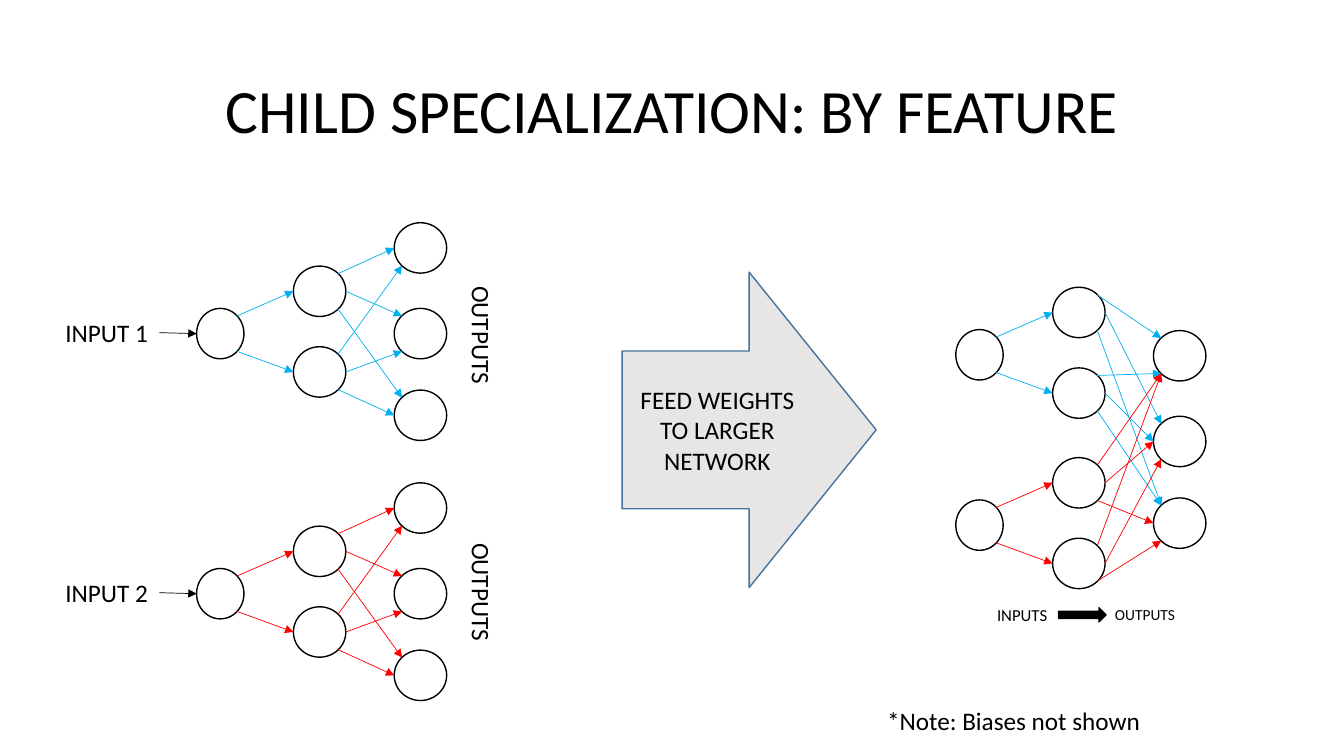
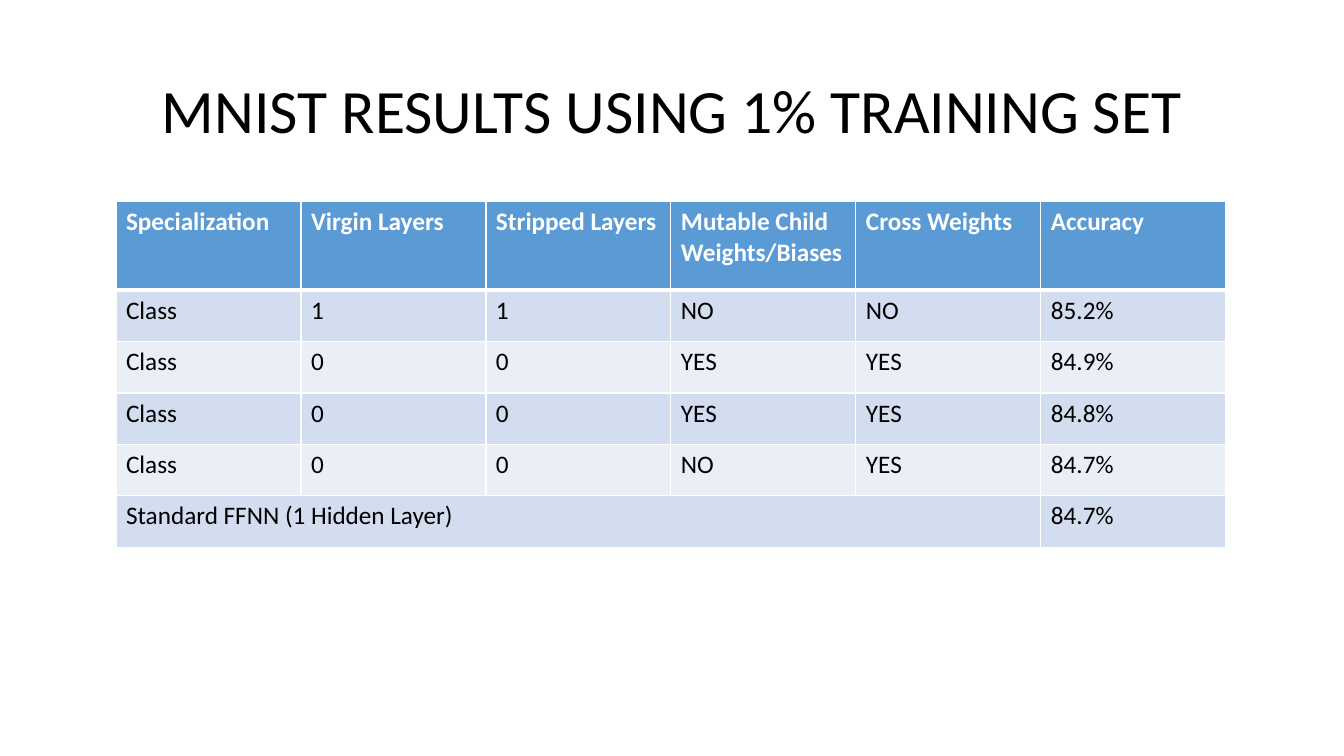
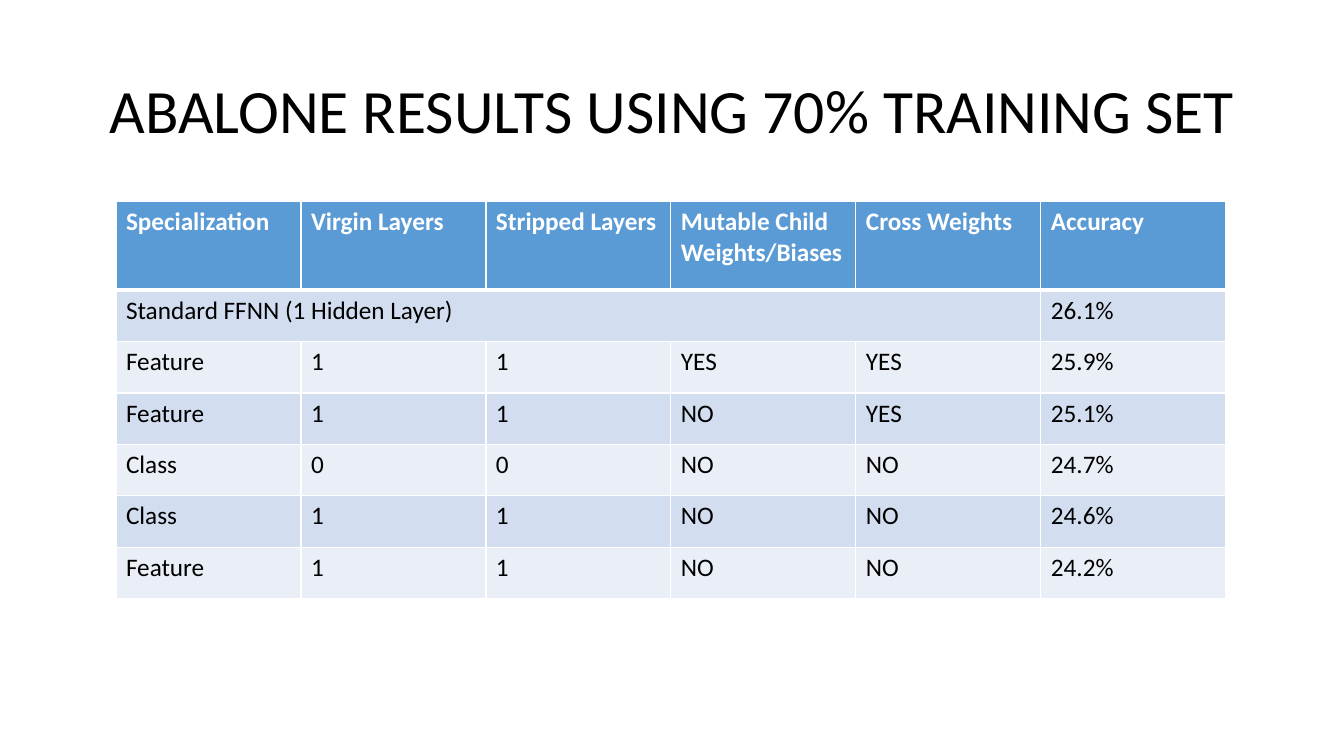
from pptx import Presentation
from pptx.dml.color import RGBColor
from pptx.enum.shapes import MSO_CONNECTOR, MSO_SHAPE
from pptx.enum.text import MSO_ANCHOR, PP_ALIGN
from pptx.oxml.ns import qn
from pptx.util import Inches, Pt
from lxml import etree

STRAIGHT = MSO_CONNECTOR.STRAIGHT
NODE = MSO_SHAPE.FLOWCHART_CONNECTOR
RIGHT_ARROW = MSO_SHAPE.RIGHT_ARROW
MIDDLE, TOP = MSO_ANCHOR.MIDDLE, MSO_ANCHOR.TOP
CENTER, LEFT = PP_ALIGN.CENTER, PP_ALIGN.LEFT

FONT = "Calibri"
COLORS = {
    "text": "000000", "paper": "FFFFFF", "blue": "00B0F0", "red": "FF0000",
    "arrow": "E7E6E6", "arrow_edge": "43739E",
    "header": "5B9BD5", "odd": "D2DEEF", "even": "EAEFF7",
}

NODE_HEIGHT = 0.5
INPUT_WIDTH, NODE_WIDTH = 0.47, 0.52
HIDDEN_LEFT, OUTPUT_LEFT = 0.96, 1.96
INPUT_TOP = 0.85
HIDDEN_TOPS = (0.43, 1.23)
OUTPUT_TOPS = (0, 0.85, 1.66)

# Share of a node's width and height from its centre to each joint.
JOINTS = {
    "left": (-0.5, 0), "right": (0.5, 0),
    "top left": (-0.35, -0.35), "top right": (0.35, -0.35),
    "bottom left": (-0.35, 0.35), "bottom right": (0.35, 0.35),
}

# Each link: hidden node, its joint, output node, its joint.
CHILD_LINKS = [
    (0, "top right", 0, "left"),
    (0, "right", 1, "top left"),
    (0, "bottom right", 2, "top left"),
    (1, "top right", 0, "bottom left"),
    (1, "right", 1, "bottom left"),
    (1, "bottom right", 2, "left"),
]
UPPER_LINKS = [
    (0, "top right", 0, "top left"),
    (0, "right", 1, "top left"),
    (0, "bottom right", 2, "top left"),
    (1, "top right", 0, "bottom left"),
    (1, "right", 1, "left"),
    (1, "bottom right", 2, "top left"),
]
LOWER_LINKS = [
    (0, "top right", 0, "bottom left"),
    (0, "right", 1, "left"),
    (0, "bottom right", 2, "left"),
    (1, "top right", 0, "bottom left"),
    (1, "right", 1, "bottom left"),
    (1, "bottom right", 2, "bottom left"),
]

HEADERS = ["Specialization", "Virgin Layers", "Stripped Layers",
           "Mutable Child Weights/Biases", "Cross Weights", "Accuracy"]
STANDARD = "Standard FFNN (1 Hidden Layer)"
MNIST_ROWS = [
    ["Class", "1", "1", "NO", "NO", "85.2%"],
    ["Class", "0", "0", "YES", "YES", "84.9%"],
    ["Class", "0", "0", "YES", "YES", "84.8%"],
    ["Class", "0", "0", "NO", "YES", "84.7%"],
    [STANDARD, "84.7%"],
]
ABALONE_ROWS = [
    [STANDARD, "26.1%"],
    ["Feature", "1", "1", "YES", "YES", "25.9%"],
    ["Feature", "1", "1", "NO", "YES", "25.1%"],
    ["Class", "0", "0", "NO", "NO", "24.7%"],
    ["Class", "1", "1", "NO", "NO", "24.6%"],
    ["Feature", "1", "1", "NO", "NO", "24.2%"],
]


def color(name):
    return RGBColor.from_string(COLORS[name])


def write(frame, text, size=18, ink="text", bold=False, align=LEFT, spacing=None):
    para = frame.paragraphs[0]
    para.alignment = align
    para.line_spacing = spacing
    span = para.add_run()
    span.text = text
    span.font.name = FONT
    span.font.size = Pt(size)
    span.font.bold = bold
    span.font.color.rgb = color(ink)


def add_text(page, text, left, top, width, height, wrap=False, anchor=TOP,
             rotation=0, **style):
    box = page.shapes.add_textbox(Inches(left), Inches(top), Inches(width), Inches(height))
    box.rotation = rotation
    box.text_frame.word_wrap = wrap
    box.text_frame.vertical_anchor = anchor
    write(box.text_frame, text, **style)
    return box


def add_preset(page, kind, left, top, width, height, fill="paper", edge="text"):
    shape = page.shapes.add_shape(kind, Inches(left), Inches(top), Inches(width), Inches(height))
    shape.shadow.inherit = False
    shape.fill.solid()
    shape.fill.fore_color.rgb = color(fill)
    shape.line.color.rgb = color(edge)
    shape.line.width = Pt(1)
    return shape


def add_node(page, left, top, width=NODE_WIDTH):
    return add_preset(page, NODE, left, top, width, NODE_HEIGHT)


def joint(node, name):
    across, down = JOINTS[name]
    return (round(node.left + node.width * (0.5 + across)),
            round(node.top + node.height * (0.5 + down)))


def add_arrow(page, start, end, ink):
    arrow = page.shapes.add_connector(STRAIGHT, *start, *end)
    arrow.line.color.rgb = color(ink)
    arrow.line.width = Pt(0.5)
    etree.SubElement(arrow.line._get_or_add_ln(), qn("a:tailEnd"), type="triangle")
    etree.SubElement(arrow._element.spPr, qn("a:effectLst"))
    return arrow


def add_outputs(page, left, top):
    return [add_node(page, left + OUTPUT_LEFT, top + offset) for offset in OUTPUT_TOPS]


def add_branch(page, left, top, outputs, links, ink):
    """Draw one input and its two hidden nodes, linked to the outputs; return the input."""
    source = add_node(page, left, top + INPUT_TOP, INPUT_WIDTH)
    hidden = [add_node(page, left + HIDDEN_LEFT, top + offset) for offset in HIDDEN_TOPS]
    for node, side in zip(hidden, ("top right", "bottom right")):
        add_arrow(page, joint(source, side), joint(node, "left"), ink)
    for start, start_side, end, end_side in links:
        add_arrow(page, joint(hidden[start], start_side), joint(outputs[end], end_side), ink)
    return source


def add_child_network(page, left, top, name, ink, outputs_top):
    outputs = add_outputs(page, left, top)
    source = add_branch(page, left, top, outputs, CHILD_LINKS, ink)
    label = add_text(page, name, left - 1.4, top + 0.89, 1.03, 0.4)
    arrow = add_arrow(page, joint(label, "right"), joint(source, "left"), "text")
    arrow.begin_connect(label, 3)
    add_text(page, "OUTPUTS", left + 2.24, top + outputs_top, 1.18, 0.4, rotation=90)


def add_large_network(page, left, top):
    outputs = add_outputs(page, left, top + 0.86)
    add_branch(page, left, top, outputs, UPPER_LINKS, "blue")
    add_branch(page, left, top + 1.69, outputs, LOWER_LINKS, "red")
    add_text(page, "INPUTS", left + 0.31, top + 3.53, 0.71, 0.3, wrap=True, size=12)
    add_text(page, "OUTPUTS", left + 1.48, top + 3.53, 0.82, 0.29, wrap=True, size=11)
    add_preset(page, RIGHT_ARROW, left + 1.02, top + 3.61, 0.47, 0.14, fill="text")


def add_feed_arrow(page, left, top, width, height):
    arrow = add_preset(page, RIGHT_ARROW, left, top, width, height,
                       fill="arrow", edge="arrow_edge")
    arrow.text_frame.word_wrap = True
    arrow.text_frame.vertical_anchor = MIDDLE
    write(arrow.text_frame, "FEED WEIGHTS TO LARGER NETWORK", align=CENTER)


def set_borders(cell, **widths):
    """Draw paper-coloured borders, given in points by side: L, R, T, B."""
    properties = cell._tc.get_or_add_tcPr()
    for index, side in enumerate("LRTB"):
        line = etree.Element(qn("a:ln" + side), w=str(Pt(widths.get(side, 1))))
        fill = etree.SubElement(line, qn("a:solidFill"))
        etree.SubElement(fill, qn("a:srgbClr"), val=COLORS["paper"])
        properties.insert(index, line)


def add_results(page, rows, left, top, width):
    header_height, row_height = 0.88, 0.51
    last = len(HEADERS) - 1
    frame = page.shapes.add_table(
        len(rows) + 1, len(HEADERS), Inches(left), Inches(top), Inches(width),
        Inches(header_height + row_height * len(rows)))
    table = frame.table
    for number, values in enumerate([HEADERS] + rows):
        is_header = number == 0
        table.rows[number].height = Inches(header_height if is_header else row_height)
        fill = "header" if is_header else ("odd" if number % 2 else "even")
        borders = {0: {"B": 3}, 1: {"T": 3}}.get(number, {})
        for cell in table.rows[number].cells:
            cell.fill.solid()
            cell.fill.fore_color.rgb = color(fill)
            set_borders(cell, **borders)
        columns = range(len(HEADERS))
        if len(values) == 2:
            table.cell(number, 0).merge(table.cell(number, last - 1))
            columns = (0, last)
        for column, value in zip(columns, values):
            write(table.cell(number, column).text_frame, value, bold=is_header,
                  ink="paper" if is_header else "text")


def add_page(deck, title):
    page = deck.slides.add_slide(deck.slide_layouts[6])
    add_text(page, title, 0.92, 0.4, 11.5, 1.45, wrap=True, anchor=MIDDLE,
             size=44, align=CENTER, spacing=0.9)
    return page


def add_network_page(deck):
    page = add_page(deck, "CHILD SPECIALIZATION: BY FEATURE")
    add_child_network(page, 1.95, 2.21, "INPUT 1", "blue", 0.92)
    add_child_network(page, 1.95, 4.79, "INPUT 2", "red", 0.89)
    add_feed_arrow(page, 6.17, 2.7, 2.52, 3.13)
    add_large_network(page, 9.48, 2.42)
    add_text(page, "*Note: Biases not shown", 8.7, 6.95, 2.74, 0.4)


def add_results_page(deck, title, rows):
    page = add_page(deck, title)
    add_results(page, rows, 1.15, 2, 11.01)


def main():
    deck = Presentation()
    deck.slide_width, deck.slide_height = Inches(13.33), Inches(7.5)
    add_network_page(deck)
    add_results_page(deck, "MNIST RESULTS USING 1% TRAINING SET", MNIST_ROWS)
    add_results_page(deck, "ABALONE RESULTS USING 70% TRAINING SET", ABALONE_ROWS)
    deck.save("out.pptx")


if __name__ == "__main__":
    main()
